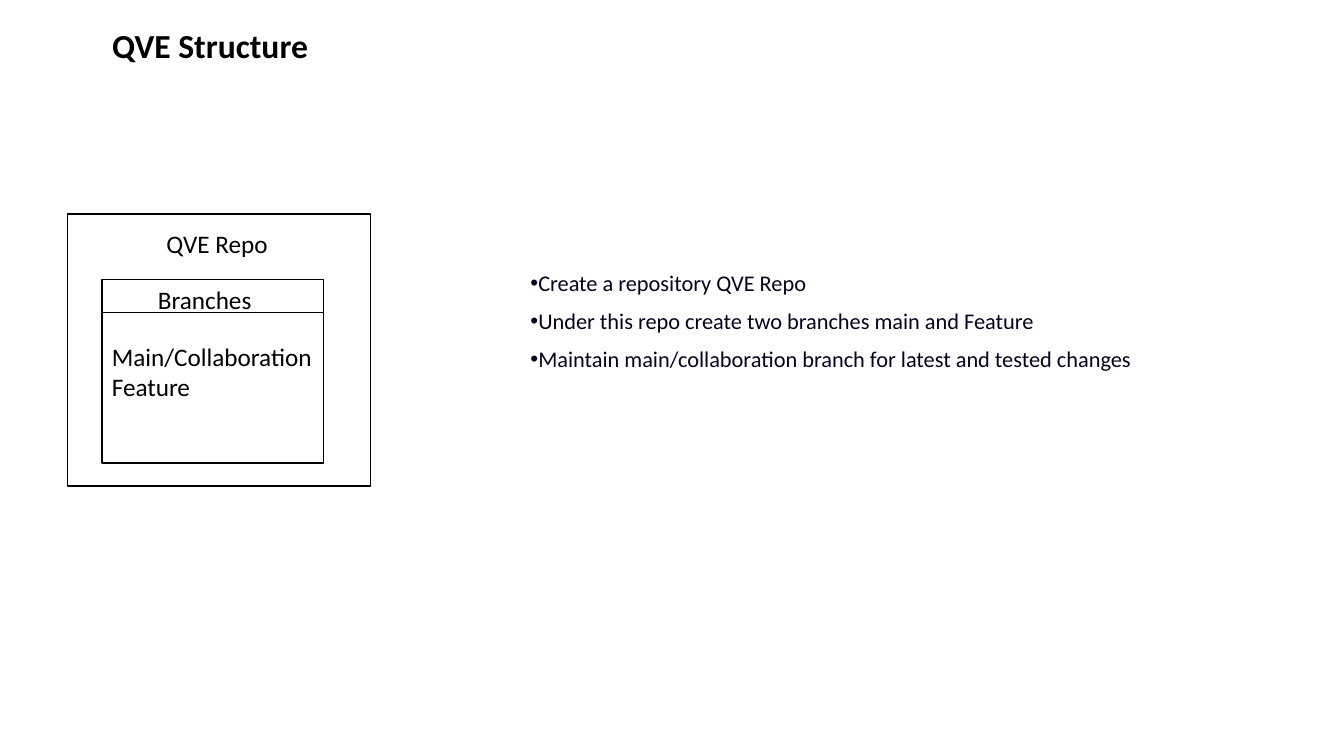
from lxml import etree
from pptx import Presentation
from pptx.dml.color import RGBColor
from pptx.enum.shapes import MSO_CONNECTOR, MSO_SHAPE
from pptx.enum.text import MSO_ANCHOR, MSO_AUTO_SIZE, PP_ALIGN
from pptx.oxml.ns import qn
from pptx.util import Cm, Pt

RECT, LINE = MSO_SHAPE.RECTANGLE, MSO_CONNECTOR.STRAIGHT
LEFT, CENTER = PP_ALIGN.LEFT, PP_ALIGN.CENTER
TOP, MIDDLE = MSO_ANCHOR.TOP, MSO_ANCHOR.MIDDLE
NO_FIT = MSO_AUTO_SIZE.NONE
COLORS = {"black": "000000", "white": "FFFFFF", "navy": "060320"}
FONT = "Calibri"
STEPS = [
    "Create a repository QVE Repo",
    "Under this repo create two branches main and Feature",
    "Maintain main/collaboration branch for latest and tested changes",
]


def rgb(name):
    """Return the named colour."""
    return RGBColor.from_string(COLORS[name])


def set_attrs(target, values):
    """Set each attribute of the target from a dict."""
    for name, value in values.items():
        setattr(target, name, value)


def write(sp, lines, size=18, color="black", bold=False, align=LEFT, anchor=TOP):
    """Fill a shape with one formatted paragraph per line."""
    tf = sp.text_frame
    set_attrs(tf, {"word_wrap": True, "auto_size": NO_FIT, "vertical_anchor": anchor})
    for i, line in enumerate(lines):
        p = tf.add_paragraph() if i else tf.paragraphs[0]
        p.alignment = align
        r = p.add_run()
        r.text = line
        set_attrs(r.font, {"name": FONT, "size": Pt(size), "bold": bold})
        r.font.color.rgb = rgb(color)


def add_title(s, text, box):
    """Place and format the title placeholder."""
    sp = s.shapes.title
    set_attrs(sp, dict(zip(("left", "top", "width", "height"), map(Cm, box))))
    write(sp, [text], size=24, bold=True, anchor=MIDDLE)


def add_box(s, box, lines=()):
    """Add a white rectangle with a black outline."""
    sp = s.shapes.add_shape(RECT, *map(Cm, box))
    sp.shadow.inherit = False
    sp.fill.solid()
    sp.fill.fore_color.rgb = rgb("white")
    sp.line.color.rgb = rgb("black")
    sp.line.width = Pt(1)
    write(sp, lines, anchor=MIDDLE)


def add_label(s, box, lines, **style):
    """Add a text box and return it."""
    sp = s.shapes.add_textbox(*map(Cm, box))
    write(sp, lines, **style)
    return sp


def add_bullets(s, box, lines):
    """Add a bulleted list."""
    sp = add_label(s, box, lines, size=16, color="navy")
    for p in sp.text_frame.paragraphs:
        set_attrs(p, {"line_spacing": 0.9, "space_before": Pt(10)})
        pPr = p._p.get_or_add_pPr()
        pPr.set("marL", "0")
        pPr.set("indent", str(-Cm(0.64)))
        etree.SubElement(pPr, qn("a:buFont")).set("typeface", "Arial")
        etree.SubElement(pPr, qn("a:buChar")).set("char", "•")


def add_rule(s, left, top, width):
    """Add a thin horizontal line."""
    cx = s.shapes.add_connector(LINE, Cm(left), Cm(top), Cm(left + width), Cm(top))
    cx.line.color.rgb = rgb("black")
    cx.line.width = Pt(0.5)
    etree.SubElement(cx._element.spPr, qn("a:effectLst"))


def main():
    """Build the slide and save it."""
    prs = Presentation()
    set_attrs(prs, {"slide_width": Cm(33.87), "slide_height": Cm(19.05)})
    s = prs.slides.add_slide(prs.slide_layouts[5])
    add_title(s, "QVE Structure", (2.57, 0.39, 29.21, 1.47))
    add_bullets(s, (13.12, 6.73, 18.67, 5.94), STEPS)
    add_box(s, (1.7, 5.39, 7.64, 6.86))
    left, top, width = 2.57, 7.04, 5.59
    add_box(s, (left, top, width, 4.63), ["Main/Collaboration", "Feature"])
    add_rule(s, left, top + 0.83, width)
    add_label(s, (3.73, top, 3.25, 1.02), ["Branches"])
    add_label(s, (3.02, 5.64, 4.9, 1.02), ["QVE Repo"], align=CENTER)
    prs.save("out.pptx")


if __name__ == "__main__":
    main()
